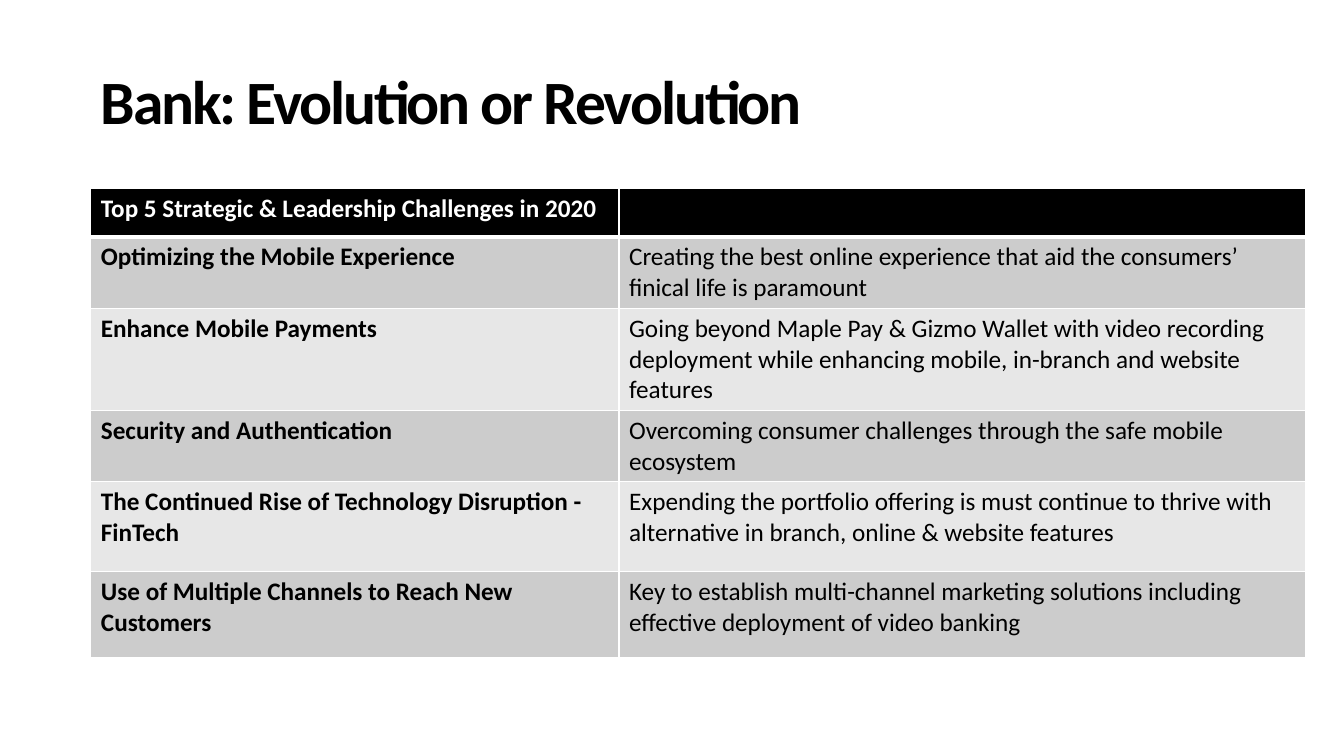
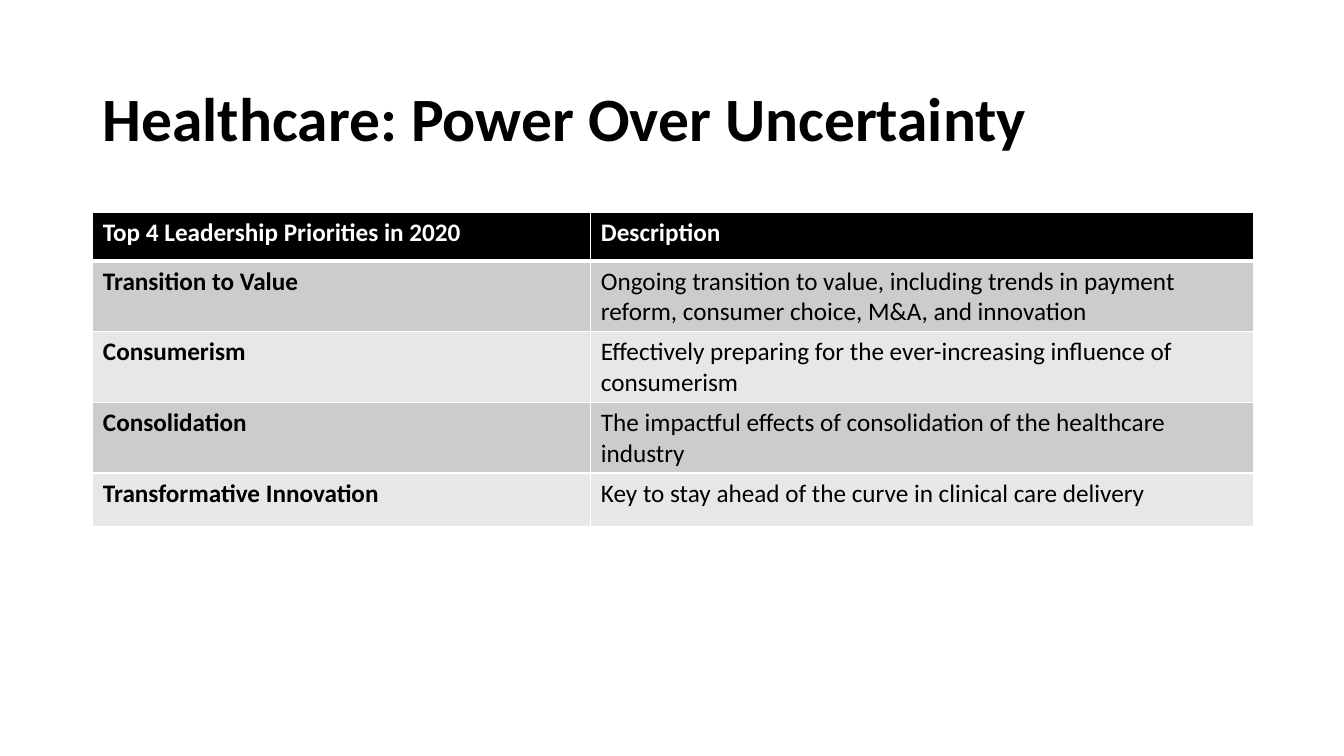
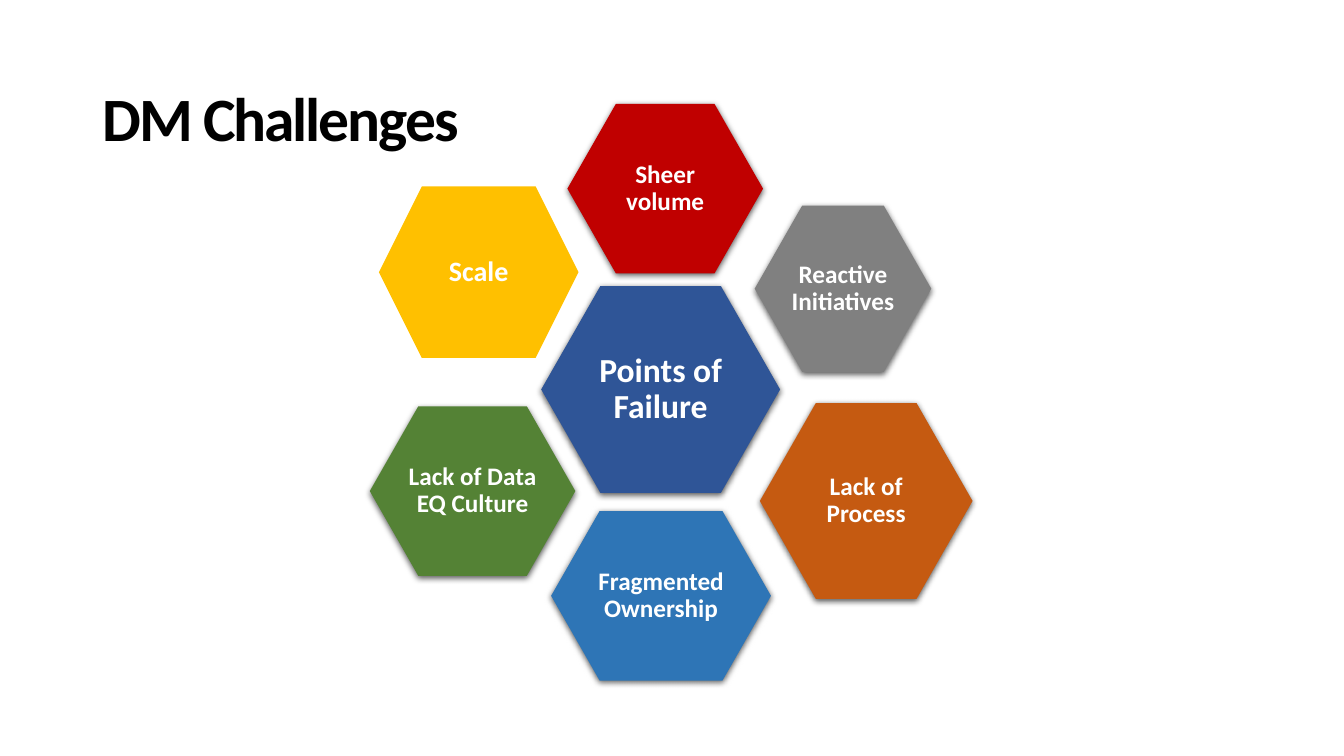
from dataclasses import dataclass

from lxml import etree
from pptx import Presentation
from pptx.dml.color import RGBColor
from pptx.enum import shapes, text
from pptx.oxml import ns
from pptx.util import Cm, Pt

# Shared look
FONT = "Calibri"
BLACK = RGBColor(0x00, 0x00, 0x00)
WHITE = RGBColor(0xFF, 0xFF, 0xFF)
BAND_DARK = RGBColor(0xCC, 0xCC, 0xCC)
BAND_LIGHT = RGBColor(0xE7, 0xE7, 0xE7)
BLUE = RGBColor(0x2F, 0x55, 0x97)
RED = RGBColor(0xC0, 0x00, 0x00)
GRAY = RGBColor(0x80, 0x80, 0x80)
ORANGE = RGBColor(0xC5, 0x5A, 0x11)
SKY = RGBColor(0x2E, 0x75, 0xB6)
GREEN = RGBColor(0x54, 0x82, 0x35)
YELLOW = RGBColor(0xFF, 0xC0, 0x00)
TITLE_SIZE = 44
BODY_SIZE = 18
THIN, THICK = Pt(1), Pt(3)


@dataclass
class Title:
    wording: str
    left: float
    top: float
    width: float
    height: float
    tight: bool = True


@dataclass
class Grid:
    left: float
    top: float
    columns: list[float]
    heights: list[float]
    rows: list[tuple[str, str]]


@dataclass
class Hexagon:
    label: str
    color: RGBColor
    left: float
    top: float
    width: float
    height: float
    size: int = BODY_SIZE
    slant: float = 0.286
    shadow: bool = True


def style_text(frame, size: int, color: RGBColor, bold: bool = True) -> None:
    for paragraph in frame.paragraphs:
        for run in paragraph.runs:
            run.font.name = FONT
            run.font.size = Pt(size)
            run.font.bold = bold
            run.font.color.rgb = color


def add_title(slide, title: Title) -> None:
    box = slide.shapes.add_textbox(Cm(title.left), Cm(title.top), Cm(title.width), Cm(title.height))
    frame = box.text_frame
    frame.text = title.wording
    frame.word_wrap = True
    frame.vertical_anchor = text.MSO_ANCHOR.MIDDLE
    style_text(frame, TITLE_SIZE, BLACK)
    if title.tight:
        heading = frame.paragraphs[0]
        heading.line_spacing = 0.9
        heading.runs[0].font._element.set("spc", "-150")


def add_borders(cell, top: int, bottom: int) -> None:
    properties = cell._tc.get_or_add_tcPr()
    for side, width in (("L", THIN), ("R", THIN), ("T", top), ("B", bottom)):
        line = etree.SubElement(properties, ns.qn(f"a:ln{side}"), w=str(width))
        fill = etree.SubElement(line, ns.qn("a:solidFill"))
        etree.SubElement(fill, ns.qn("a:srgbClr"), val=str(WHITE))


def add_grid(slide, grid: Grid) -> None:
    table = slide.shapes.add_table(
        len(grid.rows), len(grid.columns), Cm(grid.left), Cm(grid.top),
        Cm(sum(grid.columns)), Cm(sum(grid.heights)),
    ).table
    for column, width in zip(table.columns, grid.columns):
        column.width = Cm(width)
    for r, (height, row) in enumerate(zip(grid.heights, grid.rows)):
        table.rows[r].height = Cm(height)
        header = r == 0
        band = BLACK if header else BAND_DARK if r % 2 else BAND_LIGHT
        for c, wording in enumerate(row):
            cell = table.cell(r, c)
            # The rule under the header is thicker than the others
            add_borders(cell, THICK if r == 1 else THIN, THICK if header else THIN)
            cell.fill.solid()
            cell.fill.fore_color.rgb = band
            cell.text_frame.text = wording
            style_text(cell.text_frame, BODY_SIZE, WHITE if header else BLACK, header or c == 0)


def add_soft_shadow(shape) -> None:
    effects = shape._element.spPr.find(ns.qn("a:effectLst"))
    shadow = etree.SubElement(
        effects, ns.qn("a:outerShdw"), blurRad=str(Pt(4.5)), dist=str(Pt(1.5)),
        dir="5400000", algn="ctr", rotWithShape="0",
    )
    color = etree.SubElement(shadow, ns.qn("a:srgbClr"), val=str(BLACK))
    etree.SubElement(color, ns.qn("a:alpha"), val="63000")


def add_hexagon(slide, hexagon: Hexagon) -> None:
    shape = slide.shapes.add_shape(
        shapes.MSO_SHAPE.HEXAGON, Cm(hexagon.left), Cm(hexagon.top),
        Cm(hexagon.width), Cm(hexagon.height),
    )
    shape.adjustments[0] = hexagon.slant
    shape.fill.solid()
    shape.fill.fore_color.rgb = hexagon.color
    shape.line.fill.background()
    shape.shadow.inherit = False
    if hexagon.shadow:
        add_soft_shadow(shape)
    frame = shape.text_frame
    frame.margin_left = frame.margin_right = Cm(0.08)
    frame.margin_top = frame.margin_bottom = Cm(0.08)
    frame.word_wrap = True
    frame.vertical_anchor = text.MSO_ANCHOR.MIDDLE
    frame.text = hexagon.label
    frame.paragraphs[0].alignment = text.PP_ALIGN.CENTER
    frame.paragraphs[0].line_spacing = 0.9
    style_text(frame, hexagon.size, WHITE)


# Content
BANK_TITLE = Title("Bank: Evolution or Revolution", 2.29, 1.22, 25.43, 2.84)
BANK_GRID = Grid(2.29, 4.75, [13.31, 17.3], [1.22, 1.8, 2.57, 1.8, 2.26, 2.16], [
    ("Top 5 Strategic & Leadership Challenges in 2020", ""),
    ("Optimizing the Mobile Experience",
     "Creating the best online experience that aid the consumers’ finical life is paramount"),
    ("Enhance Mobile Payments",
     "Going beyond Maple Pay & Gizmo Wallet with video recording deployment "
     "while enhancing mobile, in-branch and website features"),
    ("Security and Authentication",
     "Overcoming consumer challenges through the safe mobile ecosystem"),
    ("The Continued Rise of Technology Disruption - FinTech",
     "Expending the portfolio offering is must continue to thrive with "
     "alternative in branch, online & website features"),
    ("Use of Multiple Channels to Reach New Customers",
     "Key to establish multi-channel marketing solutions including "
     "effective deployment of video banking"),
])

HEALTH_TITLE = Title("Healthcare: Power Over Uncertainty", 2.34, 1.88, 25.43, 2.13, tight=False)
HEALTH_GRID = Grid(2.34, 5.36, [12.55, 16.71], [1.22, 1.78, 1.78, 1.78, 1.35], [
    ("Top 4 Leadership Priorities in 2020", "Description"),
    ("Transition to Value",
     "Ongoing transition to value, including trends in payment reform, "
     "consumer choice, M&A, and innovation"),
    ("Consumerism",
     "Effectively preparing for the ever-increasing influence of consumerism"),
    ("Consolidation",
     "The impactful effects of consolidation of the healthcare industry"),
    ("Transformative Innovation",
     "Key to stay ahead of the curve in clinical care delivery"),
])

CHALLENGES_TITLE = Title("DM Challenges", 2.34, 1.42, 25.43, 3.28)
CHALLENGES = [
    Hexagon("Points of Failure", BLUE, 13.64, 7.21, 6.02, 5.21, size=24),
    Hexagon("Sheer volume", RED, 14.3, 2.62, 4.93, 4.27),
    Hexagon("Reactive Initiatives", GRAY, 19.02, 5.18, 4.45, 4.19),
    Hexagon("Lack of Process", ORANGE, 19.15, 10.16, 5.36, 4.93),
    Hexagon("Fragmented Ownership", SKY, 13.89, 12.88, 5.54, 4.27),
    Hexagon("Lack of Data EQ Culture", GREEN, 9.32, 10.24, 5.18, 4.27),
    Hexagon("Scale", YELLOW, 9.55, 4.7, 5.03, 4.32, size=20, slant=0.25, shadow=False),
]


def main() -> None:
    deck = Presentation()
    deck.slide_width, deck.slide_height = Cm(33.87), Cm(19.05)
    blank = deck.slide_layouts[6]

    # Table slides
    for title, grid in ((BANK_TITLE, BANK_GRID), (HEALTH_TITLE, HEALTH_GRID)):
        slide = deck.slides.add_slide(blank)
        add_title(slide, title)
        add_grid(slide, grid)

    # Hexagon cluster
    slide = deck.slides.add_slide(blank)
    add_title(slide, CHALLENGES_TITLE)
    for hexagon in CHALLENGES:
        add_hexagon(slide, hexagon)

    deck.save("out.pptx")


if __name__ == "__main__":
    main()
